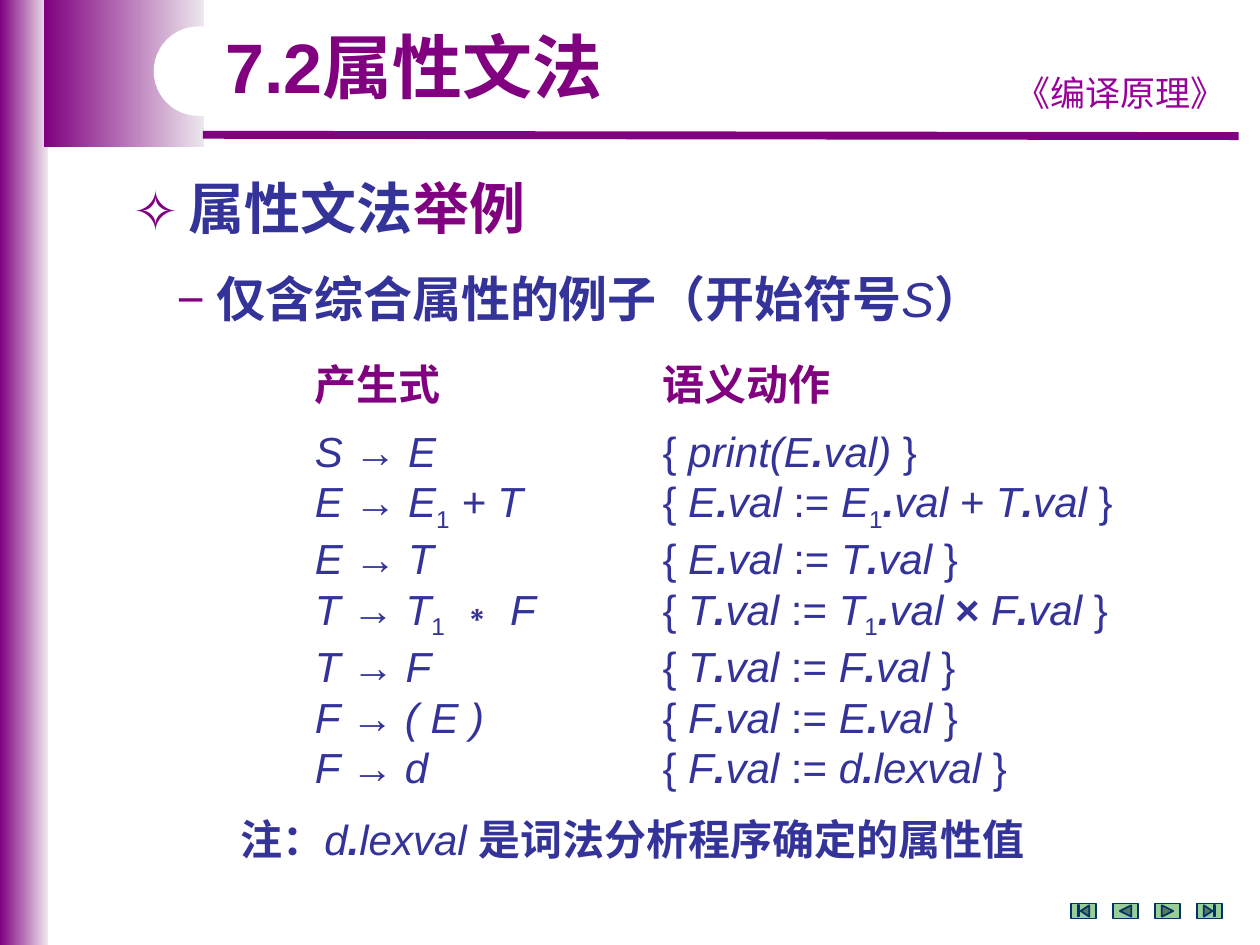
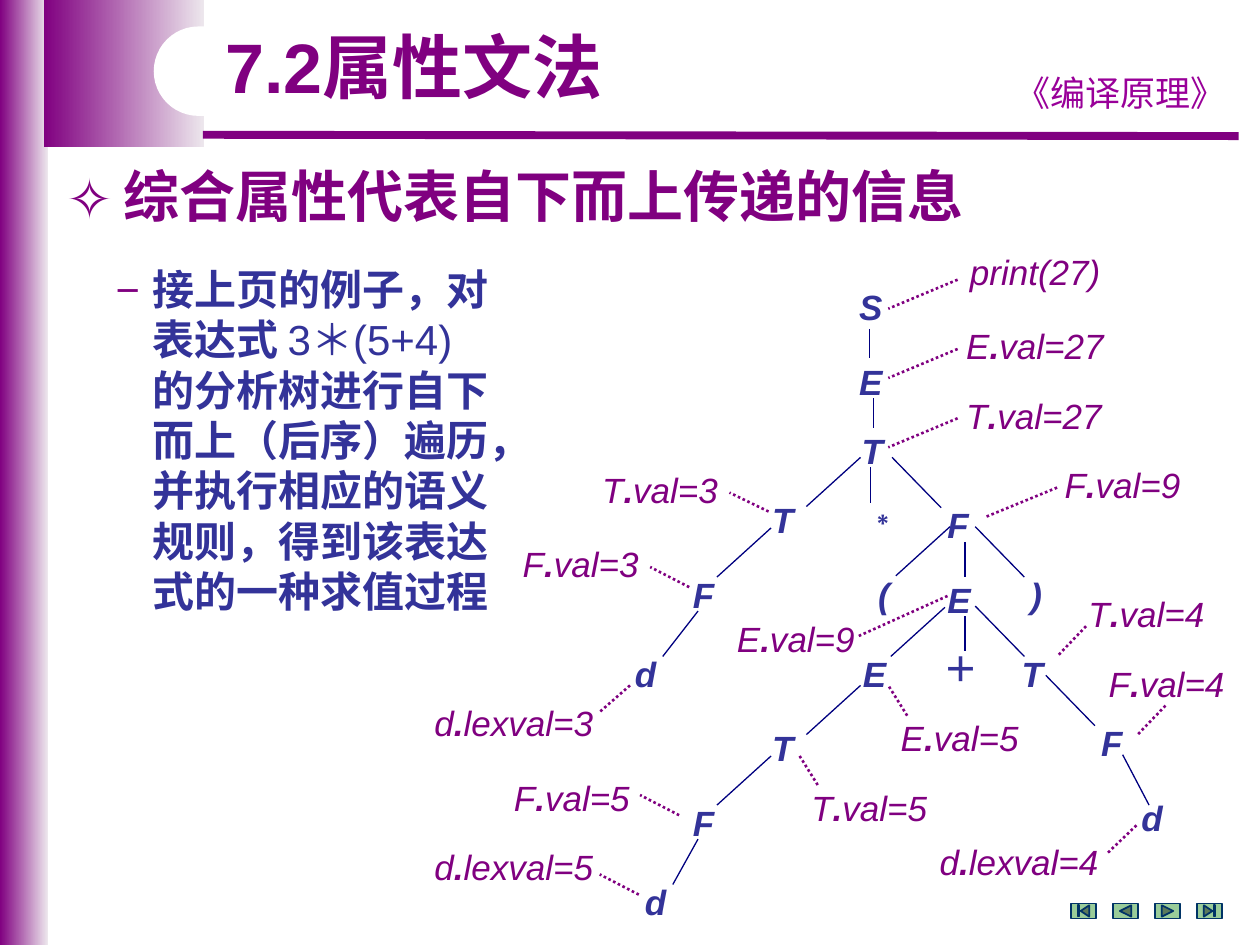
"""Builds two lecture slides on attribute grammars."""
from dataclasses import dataclass
from itertools import groupby

from lxml import etree
from pptx import Presentation
from pptx.dml.color import RGBColor
from pptx.enum.dml import MSO_LINE
from pptx.enum.shapes import MSO_CONNECTOR, MSO_SHAPE
from pptx.enum.text import MSO_AUTO_SIZE, PP_ALIGN
from pptx.oxml.ns import qn
from pptx.util import Inches, Pt

STRAIGHT = MSO_CONNECTOR.STRAIGHT
RECTANGLE = MSO_SHAPE.RECTANGLE
ROUNDED = MSO_SHAPE.ROUNDED_RECTANGLE
NAVIGATION = (MSO_SHAPE.ACTION_BUTTON_BEGINNING,
              MSO_SHAPE.ACTION_BUTTON_BACK_OR_PREVIOUS,
              MSO_SHAPE.ACTION_BUTTON_FORWARD_OR_NEXT,
              MSO_SHAPE.ACTION_BUTTON_END)
DOTTED = MSO_LINE.ROUND_DOT
CENTER = PP_ALIGN.CENTER
FIT_SHAPE = MSO_AUTO_SIZE.SHAPE_TO_FIT_TEXT


@dataclass(frozen=True)
class Theme:
    """Colours, fonts and type sizes of the deck."""
    purple: str = "800080"
    pale: str = "EDE7ED"
    violet: str = "990099"
    blue: str = "333399"
    navy: str = "000080"
    white: str = "FFFFFF"
    button: str = "99CC99"
    button_line: str = "003366"
    latin: str = "Arial"
    chinese: str = "Noto Sans CJK SC"
    course: str = "Comic Neue"
    title_size: int = 40
    heading_size: int = 32
    subheading_size: int = 28
    body_size: int = 24
    tree_size: int = 20


THEME = Theme()

PRODUCTIONS = ("S → E", "E → E_1 + T", "E → T", "T → T_1 ∗ F",
               "T → F", "F → ( E )", "F → d")
ACTIONS = ("{ print(E.val) }", "{ E.val := E_1.val + T.val }",
           "{ E.val := T.val }", "{ T.val := T_1.val × F.val }",
           "{ T.val := F.val }", "{ F.val := E.val }",
           "{ F.val := d.lexval }")

TREE_NODES = (
    ("S", 6.72, 2.22), ("E", 6.72, 2.81), ("T", 6.74, 3.36),
    ("T", 6.03, 3.91), ("∗", 6.77, 3.87), ("F", 7.42, 3.95),
    ("F", 5.4, 4.5), ("(", 6.87, 4.5), ("E", 7.42, 4.54), (")", 8.08, 4.5),
    ("d", 4.94, 5.13), ("E", 6.75, 5.13), ("＋", 7.39, 5.09),
    ("T", 8.01, 5.13), ("T", 6.03, 5.72), ("F", 8.64, 5.68),
    ("F", 5.4, 6.31), ("d", 8.96, 6.27), ("d", 5.02, 6.94),
)
TREE_EDGES = (
    (6.9, 2.61, 6.9, 2.84), (6.93, 3.16, 6.93, 3.4),
    (6.83, 3.63, 6.4, 4.02), (6.91, 3.71, 6.91, 3.99),
    (7.08, 3.63, 7.47, 4.03), (6.12, 4.19, 5.69, 4.58),
    (5.54, 4.85, 5.26, 5.21), (7.54, 4.18, 7.11, 4.57),
    (7.66, 4.3, 7.66, 4.58), (7.74, 4.18, 8.13, 4.58),
    (7.5, 4.82, 7.07, 5.21), (7.66, 4.89, 7.66, 5.17),
    (7.74, 4.81, 8.13, 5.21), (6.83, 5.44, 6.4, 5.83),
    (6.12, 6, 5.69, 6.39), (5.54, 6.66, 5.34, 7.02),
    (8.3, 5.36, 8.69, 5.76), (8.91, 5.99, 9.12, 6.39),
)
ATTRIBUTES = (
    ("print(27)", 7.6, 1.94, 1.34, (7.6, 2.22, 7.05, 2.45)),
    ("E.val=27", 7.57, 2.53, 1.29, (7.6, 2.77, 7.05, 3)),
    ("T.val=27", 7.57, 3.08, 1.29, (7.6, 3.32, 7.05, 3.55)),
    ("F.val=9", 8.35, 3.63, 1.15, (8.39, 3.87, 7.83, 4.1)),
    ("T.val=3", 4.68, 3.67, 1.12, (6.1, 4.06, 5.79, 3.91)),
    ("F.val=3", 4.05, 4.26, 1.12, (5.47, 4.66, 5.16, 4.5)),
    ("E.val=9", 5.75, 4.85, 1.14, (7.52, 4.73, 6.81, 5.05)),
    ("T.val=4", 8.54, 4.65, 1.12, (8.62, 4.97, 8.39, 5.21)),
    ("F.val=4", 8.7, 5.21, 1.12, (9.25, 5.6, 9.02, 5.84)),
    ("d.lexval=3", 3.35, 5.52, 1.46, (5, 5.44, 4.76, 5.65)),
    ("E.val=5", 7.05, 5.64, 1.14, (7.2, 5.68, 7.05, 5.44)),
    ("T.val=5", 6.34, 6.19, 1.12, (6.49, 6.23, 6.34, 5.99)),
    ("F.val=5", 3.98, 6.11, 1.12, (5.39, 6.47, 5.08, 6.31)),
    ("d.lexval=5", 3.35, 6.66, 1.46, (5.07, 7.1, 4.76, 6.94)),
    ("d.lexval=4", 7.36, 6.62, 1.46, (9.02, 6.55, 8.78, 6.78)),
)


def rgb(color):
    """Return the colour object for a hex string."""
    return RGBColor.from_string(color)


def add_text_box(slide, left, top, width, height, wrap=True):
    """Add a text box and return its text frame."""
    shape = slide.shapes.add_textbox(Inches(left), Inches(top),
                                     Inches(width), Inches(height))
    frame = shape.text_frame
    frame.word_wrap = wrap
    frame.auto_size = FIT_SHAPE
    return frame


def add_run(paragraph, text, size, color, bold=False, italic=False,
            subscript=False, font=THEME.latin):
    """Add one formatted run to a paragraph."""
    run = paragraph.add_run()
    run.text = text
    run.font.size = Pt(size)
    run.font.color.rgb = rgb(color)
    run.font.bold = bold
    run.font.italic = italic
    run.font.name = font
    properties = run.font._element
    etree.SubElement(properties, qn("a:ea")).set("typeface", THEME.chinese)
    if subscript:
        properties.set("baseline", "-25000")


def add_chinese(paragraph, text, size, color=THEME.blue):
    """Add a bold Chinese run."""
    add_run(paragraph, text, size, color, bold=True, font=THEME.chinese)


def formula_style(pair):
    """Return bold, italic and subscript for a character and the one before it."""
    previous, character = pair
    upright = character in "{}→:∗×" or previous + character == ":="
    subscript = previous == "_"
    return character in ".×", not (upright or subscript), subscript


def add_formula(paragraph, formula, size, color):
    """Add a formula, where an underscore lowers the next character."""
    pairs = [pair for pair in zip(" " + formula, formula) if pair[1] != "_"]
    for (bold, italic, subscript), group in groupby(pairs, formula_style):
        text = "".join(character for _, character in group)
        add_run(paragraph, text, size, color, bold, italic, subscript)


def set_bullet(paragraph, character, indent):
    """Give a paragraph a purple bullet with a hanging indent."""
    properties = paragraph._p.get_or_add_pPr()
    properties.set("marL", str(Inches(indent)))
    properties.set("indent", str(-Inches(indent)))
    color = etree.SubElement(properties, qn("a:buClr"))
    etree.SubElement(color, qn("a:srgbClr")).set("val", THEME.purple)
    etree.SubElement(properties, qn("a:buFont")).set("typeface", THEME.chinese)
    etree.SubElement(properties, qn("a:buChar")).set("char", character)


def add_bullet_box(slide, left, top, width, height, character, indent):
    """Add a text box with one bulleted paragraph and return the paragraph."""
    paragraph = add_text_box(slide, left, top, width, height).paragraphs[0]
    set_bullet(paragraph, character, indent)
    return paragraph


def add_heading(slide, left, top, *parts):
    """Add a star-bulleted heading made of text and colour pairs."""
    paragraph = add_bullet_box(slide, left, top, 7.8, 0.63, "✧", 0.45)
    for text, color in parts:
        add_chinese(paragraph, text, THEME.heading_size, color)


def add_line(slide, ends, color, width, dash=None):
    """Add a straight line between two points."""
    line = slide.shapes.add_connector(STRAIGHT, *map(Inches, ends))
    line.line.color.rgb = rgb(color)
    line.line.width = Pt(width)
    if dash:
        line.line.dash_style = dash
    etree.SubElement(line._element.spPr, qn("a:effectLst"))


def add_plain_shape(slide, kind, left, top, width, height, color=None):
    """Add a shape without shadow or outline, solid if a colour is given."""
    shape = slide.shapes.add_shape(kind, Inches(left), Inches(top),
                                   Inches(width), Inches(height))
    shape.shadow.inherit = False
    shape.line.fill.background()
    if color:
        shape.fill.solid()
        shape.fill.fore_color.rgb = rgb(color)
    return shape


def add_band(slide, left, width, height):
    """Add a band that fades from purple to pale."""
    fill = add_plain_shape(slide, RECTANGLE, left, 0, width, height).fill
    fill.gradient()
    fill.gradient_angle = 0
    stops = zip(fill.gradient_stops, (THEME.purple, THEME.pale), (0, 1))
    for stop, color, position in stops:
        stop.color.rgb = rgb(color)
        stop.position = position


def add_navigation(slide):
    """Add the row of navigation buttons."""
    for index, kind in enumerate(NAVIGATION):
        button = add_plain_shape(slide, kind, 8.5 + index / 3, 7.17,
                                 0.2, 0.12, THEME.button)
        button.line.color.rgb = rgb(THEME.button_line)
        button.line.width = Pt(1)


def add_lecture_slide(presentation, title):
    """Add a slide with the bands, course name, title and buttons."""
    slide = presentation.slides.add_slide(presentation.slide_layouts[6])
    add_band(slide, 0, 0.38, 7.5)
    add_band(slide, 0.35, 1.27, 1.17)
    add_line(slide, (1.61, 1.07, 9.83, 1.08), THEME.purple, 4.5)
    course = add_text_box(slide, 7.91, 0.52, 1.97, 0.43).paragraphs[0]
    course.alignment = CENTER
    add_run(course, "《编译原理》", THEME.tree_size, THEME.violet,
            font=THEME.course)
    notch = add_plain_shape(slide, ROUNDED, 1.22, 0.21, 3.62, 0.71,
                            THEME.white)
    notch.adjustments[0] = 0.5
    heading = add_text_box(slide, 1.69, 0.21, 4.41, 0.71).paragraphs[0]
    heading.line_spacing = 0.9
    add_run(heading, title, THEME.title_size, THEME.purple, bold=True)
    add_navigation(slide)
    return slide


def add_formula_column(slide, left, width, heading, formulas):
    """Add a column of formulas under a heading."""
    frame = add_text_box(slide, left, 2.8, width, 3.43)
    add_run(frame.paragraphs[0], heading, THEME.body_size, THEME.purple,
            bold=True)
    for index, formula in enumerate(formulas):
        paragraph = frame.add_paragraph()
        if index == 0:
            paragraph.space_before = Pt(9)
        add_formula(paragraph, formula, THEME.body_size, THEME.blue)


def add_tree(slide):
    """Add the parse tree with its attribute values."""
    for ends in TREE_EDGES:
        add_line(slide, ends, THEME.navy, 0.75)
    for symbol, left, top in TREE_NODES:
        paragraph = add_text_box(slide, left, top, 0.38, 0.43).paragraphs[0]
        add_run(paragraph, symbol, THEME.tree_size, THEME.blue, bold=True,
                italic=symbol not in "∗＋")
    for value, left, top, width, leader in ATTRIBUTES:
        frame = add_text_box(slide, left, top, width, 0.43, wrap=False)
        add_formula(frame.paragraphs[0], value, THEME.tree_size, THEME.purple)
        add_line(slide, leader, THEME.purple, 1.5, DOTTED)


def build_grammar_slide(presentation):
    """Build the slide with the example grammar."""
    slide = add_lecture_slide(presentation, "7.2属性文法")
    add_heading(slide, 0.95, 1.33, ("属性文法", THEME.blue),
                ("举例", THEME.purple))
    paragraph = add_bullet_box(slide, 1.31, 2.08, 7.44, 0.57, "−", 0.31)
    add_chinese(paragraph, "仅含综合属性的例子（开始符号", THEME.subheading_size)
    add_formula(paragraph, "S", THEME.subheading_size, THEME.blue)
    add_chinese(paragraph, "）", THEME.subheading_size)
    add_formula_column(slide, 2.4, 2.36, "产生式", PRODUCTIONS)
    add_formula_column(slide, 5.16, 4.02, "语义动作", ACTIONS)
    note = add_text_box(slide, 1.81, 6.41, 6.94, 0.5).paragraphs[0]
    add_chinese(note, "注：", THEME.body_size)
    add_formula(note, "d.lexval ", THEME.body_size, THEME.blue)
    add_chinese(note, "是词法分析程序确定的属性值", THEME.body_size)


def build_tree_slide(presentation):
    """Build the slide with the annotated parse tree."""
    slide = add_lecture_slide(presentation, "7.2属性文法")
    add_heading(slide, 0.43, 1.23,
                ("综合属性代表自下而上传递的信息", THEME.purple))
    paragraph = add_bullet_box(slide, 0.83, 2.04, 3.7, 2.9, "−", 0.28)
    add_chinese(paragraph, "接上页的例子，对", THEME.body_size)
    paragraph.add_line_break()
    add_chinese(paragraph, "表达式 ", THEME.body_size)
    add_run(paragraph, "3＊(5+4)", THEME.body_size, THEME.blue)
    for line in ("的分析树进行自下", "而上（后序）遍历，", "并执行相应的语义",
                 "规则，得到该表达", "式的一种求值过程"):
        paragraph.add_line_break()
        add_chinese(paragraph, line, THEME.body_size)
    add_tree(slide)


def main():
    """Build and save the presentation."""
    presentation = Presentation()
    presentation.slide_width = Inches(10)
    presentation.slide_height = Inches(7.5)
    build_grammar_slide(presentation)
    build_tree_slide(presentation)
    presentation.save("out.pptx")


if __name__ == "__main__":
    main()
